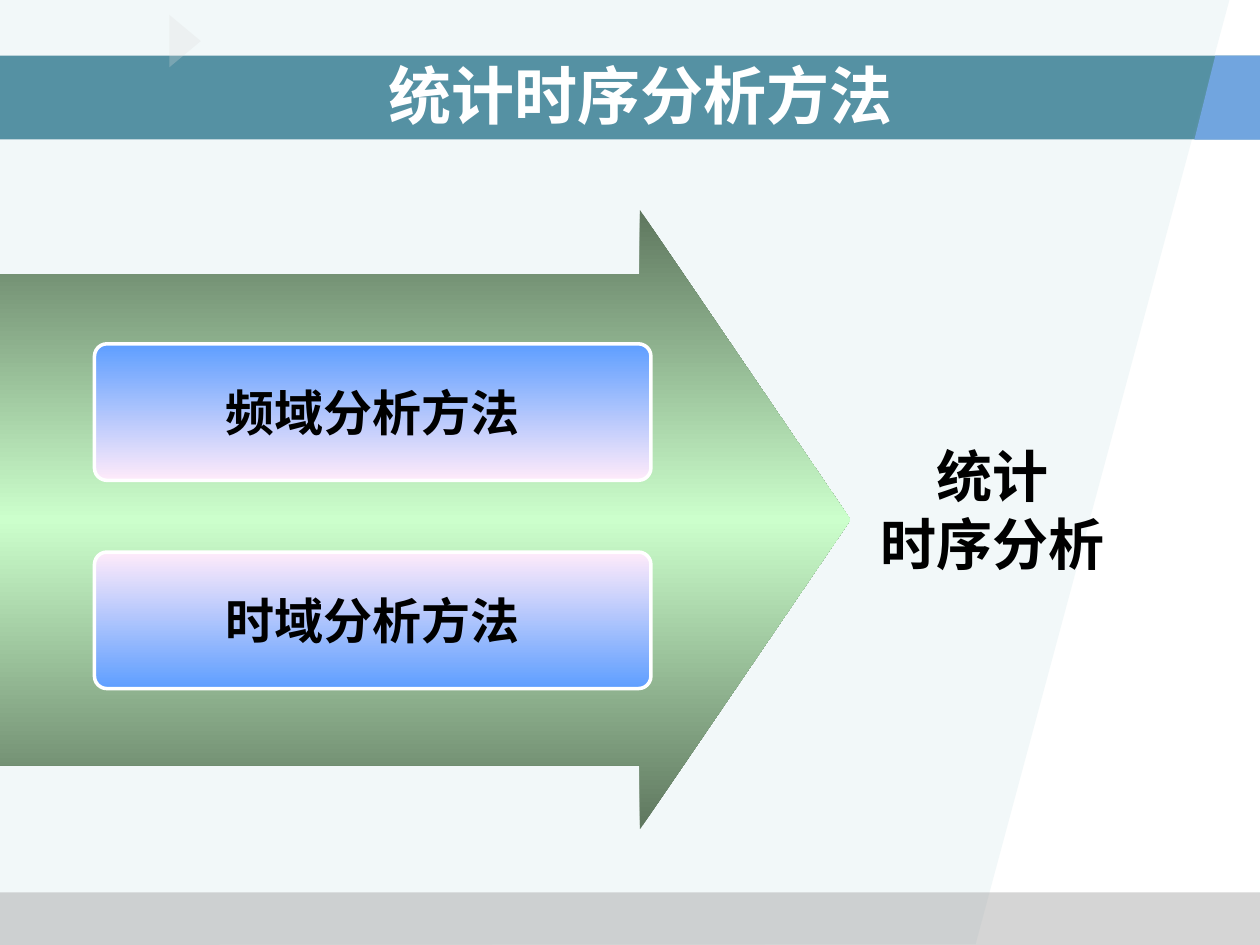
from dataclasses import dataclass
from typing import NamedTuple, Optional

from lxml.etree import SubElement
from pptx import Presentation
from pptx.dml.color import RGBColor
from pptx.enum.shapes import MSO_SHAPE as Shape
from pptx.enum.text import MSO_ANCHOR as Anchor, PP_ALIGN as Align
from pptx.oxml.ns import qn
from pptx.util import Pt


@dataclass(frozen=True)
class Theme:
    font: str = "Arial"
    title_size: float = 36
    method_size: float = 28
    result_size: float = 32
    white: str = "FFFFFF"
    black: str = "000000"
    pale_teal: str = "9FCAD3"
    teal: str = "26728A"
    blue: str = "71A5DF"
    grey: str = "969696"
    light_grey: str = "DDDDDD"
    dark_green: str = "5E765E"
    light_green: str = "CCFFCC"
    method_blue: str = "5E9EFF"
    method_pink: str = "FFEBFA"


class Frame(NamedTuple):
    left: float
    top: float
    width: float
    height: float


class Method(NamedTuple):
    label: str
    top: float
    colours: tuple[str, str]


THEME = Theme()
PAGE_WIDTH, PAGE_HEIGHT = 720, 540
BAND_TOP, BAND_HEIGHT = 31.75, 48
BAND_BOTTOM = BAND_TOP + BAND_HEIGHT
CORNER = 0.091
METHODS = (
    Method("频域分析方法", 196.5, (THEME.method_blue, THEME.method_pink)),
    Method("时域分析方法", 315.5, (THEME.method_pink, THEME.method_blue)),
)


def fill_solid(shape, colour: str, opacity: Optional[int] = None) -> None:
    """Fill without an outline; opacity is in percent."""
    shape.shadow.inherit = False
    shape.fill.solid()
    shape.fill.fore_color.rgb = RGBColor.from_string(colour)
    shape.line.fill.background()
    if opacity is not None:
        rgb = shape.fill._xPr.find(f"{qn('a:solidFill')}/{qn('a:srgbClr')}")
        SubElement(rgb, qn("a:alpha"), val=str(opacity * 1000))


def fill_gradient(shape, colours: tuple[str, ...]) -> None:
    """Spread the colours evenly from top to bottom."""
    shape.fill.gradient()
    shape.fill.gradient_angle = 270
    stops = shape.fill._xPr.find(f"{qn('a:gradFill')}/{qn('a:gsLst')}")
    for stop in list(stops):
        stops.remove(stop)
    for index, colour in enumerate(colours):
        position = 100000 * index // (len(colours) - 1)
        stop = SubElement(stops, qn("a:gs"), pos=str(position))
        SubElement(stop, qn("a:srgbClr"), val=colour)


def add_preset(page, kind: Shape, frame: Frame, *adjustments: float):
    shape = page.shapes.add_shape(kind, *map(Pt, frame))
    shape.shadow.inherit = False
    for index, value in enumerate(adjustments):
        shape.adjustments[index] = value
    return shape


def add_polygon(page, *points: tuple[float, float]):
    start, *rest = [(Pt(x), Pt(y)) for x, y in points]
    builder = page.shapes.build_freeform(*start)
    builder.add_line_segments(rest, close=True)
    return builder.convert_to_shape()


def write_text(box, lines: tuple[str, ...], size: float, colour: str,
               wrap: bool = True) -> None:
    frame = box.text_frame
    frame.word_wrap = wrap
    frame.vertical_anchor = Anchor.MIDDLE
    for index, line in enumerate(lines):
        para = frame.add_paragraph() if index else frame.paragraphs[0]
        para.alignment = Align.CENTER
        span = para.add_run()
        span.text = line
        span.font.name = THEME.font
        span.font.size = Pt(size)
        span.font.bold = True
        span.font.color.rgb = RGBColor.from_string(colour)


def add_backdrop(page) -> None:
    panel = add_polygon(page, (0, 0), (702.5, 0), (557.5, 539.5), (0, PAGE_HEIGHT))
    fill_solid(panel, THEME.pale_teal, 13)
    footer = add_preset(page, Shape.RECTANGLE, Frame(0, 510, PAGE_WIDTH, 30))
    fill_solid(footer, THEME.grey, 40)
    band = add_preset(page, Shape.RECTANGLE,
                      Frame(0, BAND_TOP, PAGE_WIDTH, BAND_HEIGHT))
    fill_solid(band, THEME.teal, 77)
    band_end = add_polygon(page, (694.5, BAND_TOP), (682.5, BAND_BOTTOM),
                           (PAGE_WIDTH, BAND_BOTTOM), (PAGE_WIDTH, BAND_TOP))
    fill_solid(band_end, THEME.blue)
    marker = add_preset(page, Shape.ISOSCELES_TRIANGLE, Frame(90.75, 14.5, 30, 18))
    marker.rotation = 90
    fill_solid(marker, THEME.light_grey, 27)


def add_title(page) -> None:
    box = page.shapes.add_textbox(*map(Pt, Frame(36, 36, 660, 36)))
    write_text(box, ("统计时序分析方法",), THEME.title_size, THEME.white)


def add_arrow(page) -> None:
    arrow = add_preset(page, Shape.RIGHT_ARROW, Frame(0, 120, 486, 354), 0.793, 0.34)
    fill_gradient(arrow, (THEME.dark_green, THEME.light_green, THEME.dark_green))
    arrow.line.fill.background()


def add_method(page, method: Method) -> None:
    box = add_preset(page, Shape.ROUNDED_RECTANGLE,
                     Frame(54, method.top, 318, 78), CORNER)
    fill_gradient(box, method.colours)
    box.line.color.rgb = RGBColor.from_string(THEME.white)
    box.line.width = Pt(2)
    write_text(box, (method.label,), THEME.method_size, THEME.black, wrap=False)


def add_result(page) -> None:
    box = add_preset(page, Shape.ROUNDED_RECTANGLE, Frame(468, 240, 198, 102), CORNER)
    box.fill.background()
    box.line.fill.background()
    write_text(box, ("统计", "时序分析"), THEME.result_size, THEME.black)


def main() -> None:
    deck = Presentation()
    deck.slide_width, deck.slide_height = Pt(PAGE_WIDTH), Pt(PAGE_HEIGHT)
    page = deck.slides.add_slide(deck.slide_layouts[6])
    add_backdrop(page)
    add_title(page)
    add_arrow(page)
    for method in METHODS:
        add_method(page, method)
    add_result(page)
    deck.save("out.pptx")


if __name__ == "__main__":
    main()
